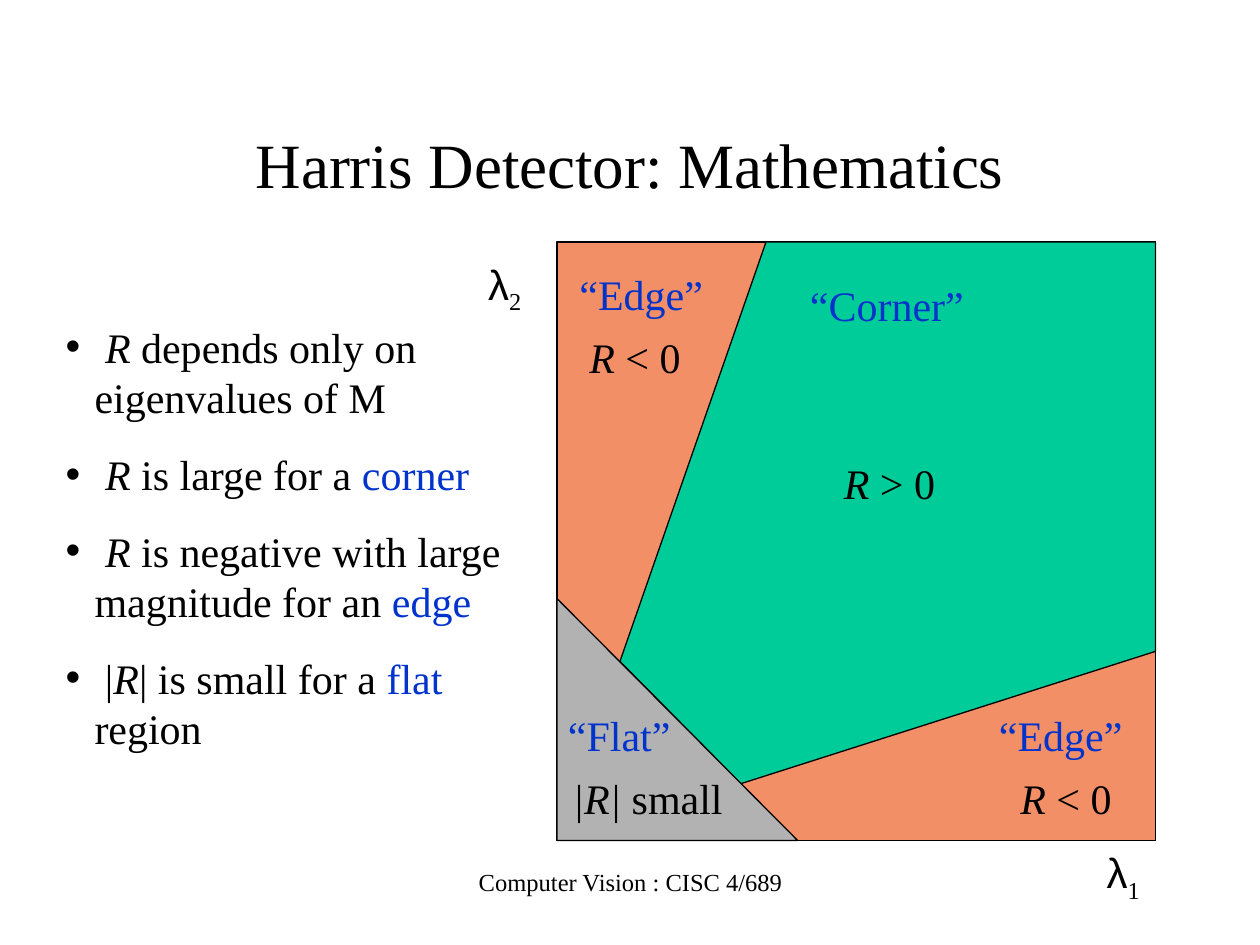
"""Build the Harris detector slide with its map of eigenvalue regions."""
from pptx import Presentation
from pptx.dml.color import RGBColor
from pptx.enum.shapes import MSO_SHAPE as SHAPE
from pptx.enum.text import MSO_ANCHOR as ANCHOR, MSO_AUTO_SIZE as AUTO, PP_ALIGN as ALIGN
from pptx.util import Inches, Pt

BLACK = RGBColor(0x00, 0x00, 0x00)
BLUE = RGBColor(0x00, 0x33, 0xCC)
ORANGE = RGBColor(0xF3, 0x8F, 0x67)
GREEN = RGBColor(0x00, 0xCC, 0x99)
GRAY = RGBColor(0xB2, 0xB2, 0xB2)
SERIF = "Times New Roman"


def write(p, runs, size=24, align=ALIGN.CENTER):
    p.alignment = align
    for text, style in runs:
        r = p.add_run()
        r.text = text
        r.font.size = Pt(size)
        r.font.name = "Arial" if style == "greek" else SERIF
        r.font.italic = style == "italic"
        r.font.color.rgb = BLUE if style == "blue" else BLACK
        if style == "sub":
            r.font._element.set("baseline", "-25000")


def paint(sp, color):
    sp.shadow.inherit = False
    sp.fill.solid()
    sp.fill.fore_color.rgb = color
    sp.line.color.rgb = BLACK
    sp.line.width = Pt(0.75)


prs = Presentation()
prs.slide_width, prs.slide_height = Inches(10), Inches(7.5)
s = prs.slides.add_slide(prs.slide_layouts[1])

title, body = s.placeholders
title.left, title.top, title.width, title.height = map(Inches, (0.75, 0.67, 8.5, 1.25))
title.text_frame.vertical_anchor = ANCHOR.MIDDLE
write(title.text_frame.paragraphs[0], [("Harris Detector: Mathematics", "")], 36)

bullets = [
    [(" ", ""), ("R", "italic"), (" depends only on eigenvalues of M", "")],
    [(" ", ""), ("R", "italic"), (" is large for a ", ""), ("corner", "blue")],
    [(" ", ""), ("R", "italic"), (" is negative with large magnitude for an ", ""),
     ("edge", "blue")],
    [(" |", ""), ("R", "italic"), ("| is small for a ", ""), ("flat", "blue"),
     (" region", "")],
]
body.left, body.top, body.width, body.height = map(Inches, (0.42, 2.5, 3.83, 3.53))
tf = body.text_frame
tf.auto_size = AUTO.NONE
for i, runs in enumerate(bullets):
    p = tf.add_paragraph() if i else tf.paragraphs[0]
    p.space_before = Pt(15 if i else 0)
    pPr = p._p.get_or_add_pPr()
    pPr.set("marL", str(Inches(0.23)))
    pPr.set("indent", str(Inches(-0.23)))
    write(p, runs, align=ALIGN.LEFT)

edge = s.shapes.add_shape(SHAPE.RECTANGLE, Inches(4.42), Inches(1.92), Inches(4.75), Inches(4.75))
paint(edge, ORANGE)

corners = [(4.92, 5.25), (6.08, 1.92), (9.17, 1.92), (9.17, 5.17), (5.88, 6.22)]
points = [(Inches(x), Inches(y)) for x, y in corners]
fb = s.shapes.build_freeform(*points[0])
fb.add_line_segments(points[1:], close=True)
paint(fb.convert_to_shape(), GREEN)

flat = s.shapes.add_shape(SHAPE.RIGHT_TRIANGLE, Inches(4.42), Inches(4.75), Inches(1.91), Inches(1.92))
paint(flat, GRAY)

negative = [("R", "italic"), (" < 0", "")]
labels = [
    (8.5, 6.67, 0.83, [("λ", "greek"), ("1", "sub")], 24, ALIGN.CENTER),
    (3.42, 2, 1.17, [("λ", "greek"), ("2", "sub")], 24, ALIGN.CENTER),
    (6.33, 2.17, 2.92, [("“Corner”", "blue")], 24, ALIGN.LEFT),
    (7.83, 5.58, 1.42, [("“Edge”", "blue")], 24, ALIGN.LEFT),
    (4.5, 2.08, 1.42, [("“Edge”", "blue")], 24, ALIGN.LEFT),
    (4.25, 5.58, 1.33, [("“Flat”", "blue")], 24, ALIGN.CENTER),
    (6.56, 3.58, 1, [("R", "italic"), (" > 0", "")], 24, ALIGN.CENTER),
    (4.54, 2.58, 1, negative, 24, ALIGN.CENTER),
    (7.96, 6.08, 1, negative, 24, ALIGN.CENTER),
    (4.39, 6.08, 1.5, [("|R|", "italic"), (" small", "")], 24, ALIGN.CENTER),
    (3.42, 6.83, 3.17, [("Computer Vision : CISC 4/689", "")], 14, ALIGN.CENTER),
]
for x, y, w, runs, size, align in labels:
    tf = s.shapes.add_textbox(Inches(x), Inches(y), Inches(w), Inches(0.5)).text_frame
    tf.word_wrap = True
    write(tf.paragraphs[0], runs, size, align)

prs.save("out.pptx")
